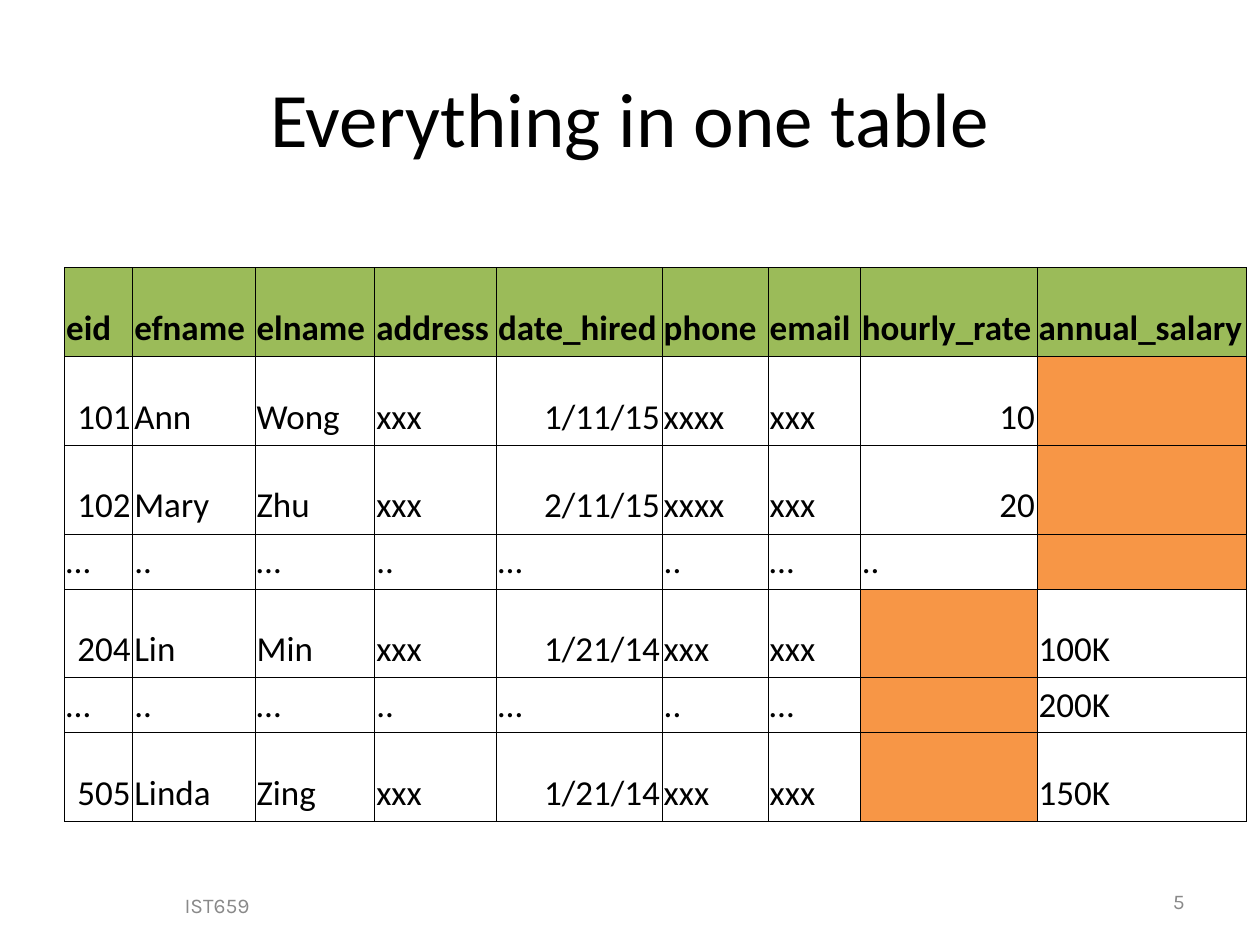
from lxml.etree import SubElement
from pptx import Presentation
from pptx.dml.color import RGBColor
from pptx.enum.text import MSO_ANCHOR, PP_ALIGN
from pptx.oxml.ns import qn
from pptx.util import Pt

BLACK = RGBColor(0x00, 0x00, 0x00)
GRAY = RGBColor(0x89, 0x89, 0x89)
GREEN = RGBColor(0x9B, 0xBB, 0x59)
ORANGE = RGBColor(0xF7, 0x96, 0x46)

COLUMN_WIDTHS = [38.9, 69.9, 68.4, 69.6, 94.7, 60.6, 52.6, 101.1, 119.5]
TALL, SHORT = 50.7, 26
ROW_HEIGHTS = [TALL, TALL, TALL, SHORT, TALL, SHORT, TALL]
ROWS = [
    ["eid", "efname", "elname", "address", "date_hired", "phone", "email", "hourly_rate", "annual_salary"],
    ["101", "Ann", "Wong", "xxx", "1/11/15", "xxxx", "xxx", "10", ""],
    ["102", "Mary", "Zhu", "xxx", "2/11/15", "xxxx", "xxx", "20", ""],
    ["…", "..", "…", "..", "…", "..", "…", "..", ""],
    ["204", "Lin", "Min", "xxx", "1/21/14", "xxx", "xxx", "", "100K"],
    ["…", "..", "…", "..", "…", "..", "…", "", "200K"],
    ["505", "Linda", "Zing", "xxx", "1/21/14", "xxx", "xxx", "", "150K"],
]


def write(tf, text, size=20, font="Calibri", color=BLACK, bold=False, align=PP_ALIGN.LEFT):
    p = tf.paragraphs[0]
    p.alignment = align
    r = p.add_run()
    r.text = text
    r.font.size = Pt(size)
    r.font.name = font
    r.font.bold = bold
    r.font.color.rgb = color


class Deck:
    inner_line = 0.23
    outer_line = 0.45
    side_margin = 1.05
    end_margin = 3.69

    def __init__(self, width, height):
        self.prs = Presentation()
        self.prs.slide_width, self.prs.slide_height = Pt(width), Pt(height)
        self.s = self.prs.slides.add_slide(self.prs.slide_layouts[6])

    def text(self, text, left, top, width, height, **style):
        sp = self.s.shapes.add_textbox(Pt(left), Pt(top), Pt(width), Pt(height))
        tf = sp.text_frame
        tf.word_wrap = True
        tf.vertical_anchor = MSO_ANCHOR.MIDDLE
        write(tf, text, **style)

    def border(self, cell, side, width):
        ln = SubElement(cell._tc.get_or_add_tcPr(), qn(f"a:ln{side}"), w=str(Pt(width)))
        fill = SubElement(ln, qn("a:solidFill"))
        SubElement(fill, qn("a:srgbClr"), val=str(BLACK))

    def cell(self, cell, text, header, outer_sides):
        cell.margin_left = cell.margin_right = Pt(self.side_margin)
        cell.margin_top = cell.margin_bottom = Pt(self.end_margin)
        cell.vertical_anchor = MSO_ANCHOR.BOTTOM
        for side in "LRTB":
            self.border(cell, side, self.outer_line if side in outer_sides else self.inner_line)
        if header or not text:
            cell.fill.solid()
            cell.fill.fore_color.rgb = GREEN if header else ORANGE
        else:
            cell.fill.background()
        if text:
            numeric = text.replace("/", "").isdigit()
            write(cell.text_frame, text, bold=header,
                  align=PP_ALIGN.RIGHT if numeric else PP_ALIGN.LEFT)

    def table(self, rows, left, top, widths, heights):
        frame = self.s.shapes.add_table(len(rows), len(widths), Pt(left), Pt(top),
                                        Pt(sum(widths)), Pt(sum(heights)))
        table = frame.table
        table.horz_banding = False
        for column, width in zip(table.columns, widths):
            column.width = Pt(width)
        for row, height in zip(table.rows, heights):
            row.height = Pt(height)
        for i, row in enumerate(rows):
            for j, text in enumerate(row):
                edges = {"L": j == 0, "R": j == len(row) - 1, "T": i == 0, "B": i == len(rows) - 1}
                outer = [side for side, on_edge in edges.items() if on_edge]
                self.cell(table.cell(i, j), text, i == 0, outer)

    def save(self):
        self.prs.save("out.pptx")


def main():
    deck = Deck(720, 540)
    footer = dict(size=12, font="Karla", color=GRAY)
    deck.text("IST659 ", 11.5, 503, 228, 28.8, align=PP_ALIGN.CENTER, **footer)
    deck.text("Everything in one table", 36, 21.6, 648, 90, size=44, align=PP_ALIGN.CENTER)
    deck.text("5", 516, 500.5, 168, 28.8, align=PP_ALIGN.RIGHT, **footer)
    deck.table(ROWS, 36.8, 153, COLUMN_WIDTHS, ROW_HEIGHTS)
    deck.save()


if __name__ == "__main__":
    main()
